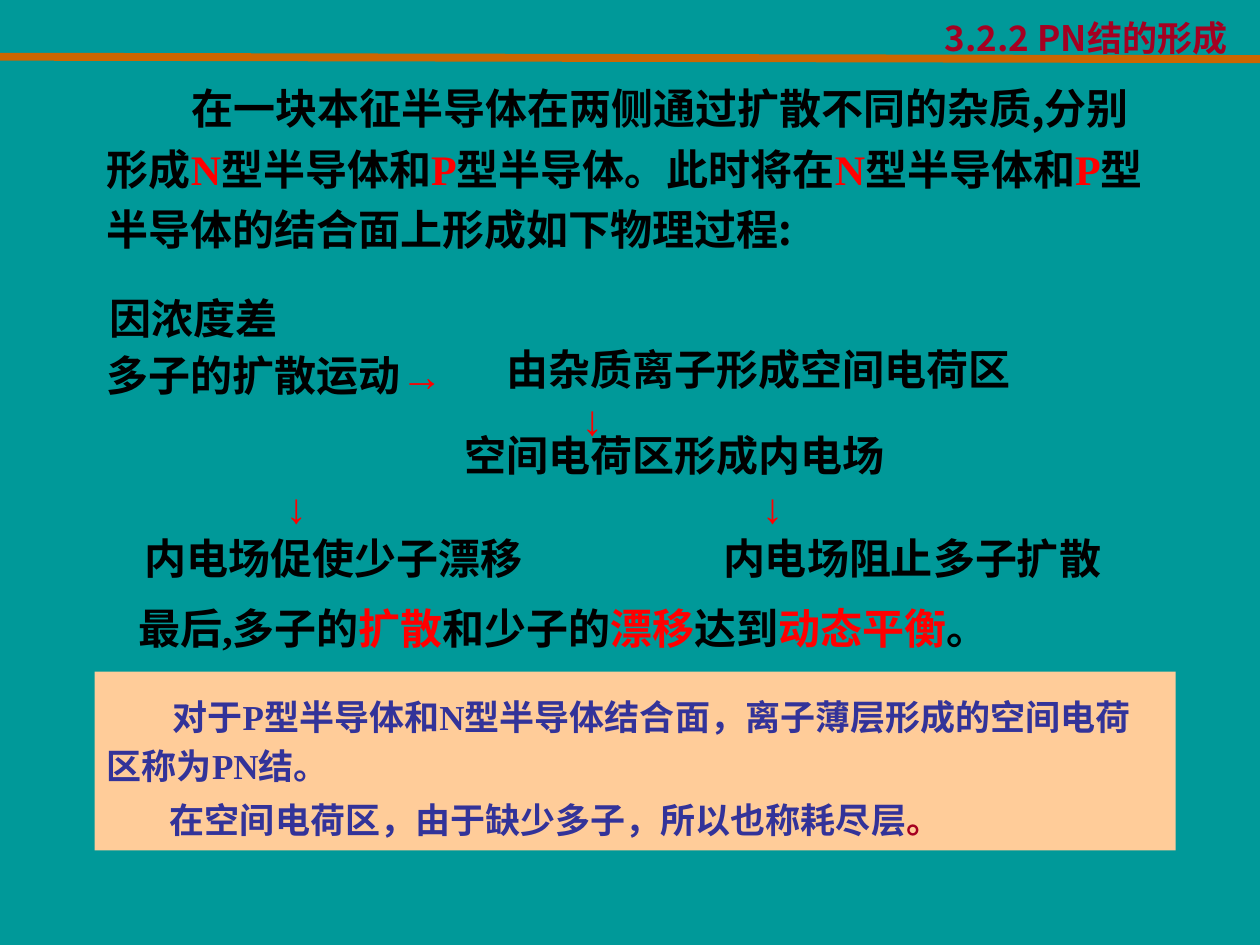
import pptx
import pptx.dml.color
import pptx.enum.shapes
import pptx.enum.text
import pptx.oxml.ns
import pptx.util
import lxml.etree

Inches = pptx.util.Inches
Pt = pptx.util.Pt
Align = pptx.enum.text.PP_ALIGN
Anchor = pptx.enum.text.MSO_ANCHOR

theme = {
    "color": {"teal": "009999", "black": "000000", "red": "FF0000", "crimson": "A50021",
              "indigo": "333399", "peach": "FFCC99", "orange": "CC6600"},
    "font": {"sans": "Noto Sans CJK SC", "serif": "Times New Roman", "arrow": "Arial"},
    "size": {"body": 24, "note": 20},
    "line": 28.8,
}


def color(name):
    return pptx.dml.color.RGBColor.from_string(theme["color"][name])


def write(box, paragraphs, size="body", insets=(0.1, 0.075, 0.1, 0.025), wrap=True, anchor=Anchor.MIDDLE):
    frame = box.text_frame
    left, top, right, bottom = map(Inches, insets)
    settings = {"margin_left": left, "margin_top": top, "margin_right": right, "margin_bottom": bottom,
                "word_wrap": wrap, "vertical_anchor": anchor}
    for name, value in settings.items():
        setattr(frame, name, value)
    for index, (indent, layout, spans) in enumerate(paragraphs):
        para = frame.paragraphs[0] if index == 0 else frame.add_paragraph()
        layout = {"alignment": Align.LEFT, "line_spacing": Pt(theme["line"]), **layout}
        for name, value in layout.items():
            setattr(para, name, value)
        properties = para._p.get_or_add_pPr()
        properties.set("marL", "0")
        properties.set("indent", str(Inches(indent)))
        for text, font, tint in spans:
            span = para.add_run()
            span.text = text
            style = {"name": theme["font"][font], "size": Pt(theme["size"][size]), "bold": True}
            for name, value in style.items():
                setattr(span.font, name, value)
            span.font.color.rgb = color(tint)
            east = lxml.etree.SubElement(span._r.get_or_add_rPr(), pptx.oxml.ns.qn("a:ea"))
            east.set("typeface", theme["font"]["arrow" if font == "arrow" else "sans"])


deck = pptx.Presentation()
deck.slide_width = Inches(10)
deck.slide_height = Inches(7.5)
page = deck.slides.add_slide(deck.slide_layouts[6])
page.background.fill.solid()
page.background.fill.fore_color.rgb = color("teal")

down = ("↓", "arrow", "red")
intro = [
    ("在一块本征半导体在两侧通过扩散不同的杂质,分别形成", "sans", "black"),
    ("N", "serif", "red"), ("型半导体和", "sans", "black"),
    ("P", "serif", "red"), ("型半导体。此时将在", "sans", "black"),
    ("N", "serif", "red"), ("型半导体和", "sans", "black"),
    ("P", "serif", "red"), ("型半导体的结合面上形成如下物理过程:", "sans", "black"),
]
balance = [
    ("最后,多子的", "serif", "black"), ("扩散", "serif", "red"), ("和少子的", "serif", "black"),
    ("漂移", "serif", "red"), ("达到", "serif", "black"), ("动态平衡", "serif", "red"), ("。", "serif", "black"),
]
texts = [
    ((0.75, 0.5, 8.5, 1.54), True, [(0.67, {"line_spacing": Pt(theme["line"] * 1.2)}, intro)]),
    ((0.25, 2.25, 3.11, 0.5), True, [(0.52, {}, [("因浓度差", "sans", "black")])]),
    ((3.59, 3.33, 3.53, 0.5), False, [(0, {}, [("空间电荷区形成内电场", "sans", "black")])]),
    ((0.83, 3.75, 4.67, 0.9), True, [
        (1.34, {}, [down]), (0.22, {}, [("内电场促使少子漂移", "sans", "black")])]),
    ((5.5, 3.75, 4, 0.9), True, [
        (0.45, {}, [down]), (0.14, {}, [("内电场阻止多子扩散", "sans", "black")])]),
    ((1, 4.67, 8.65, 0.54), True, [(0, {"line_spacing": Pt(theme["line"] * 1.1)}, balance)]),
    ((0.75, 2.7, 3.61, 0.5), True, [
        (0, {}, [("多子的扩散运动", "sans", "black"), ("→", "arrow", "red")])]),
    ((3.92, 2.65, 5.22, 0.9), True, [
        (0, {}, [("由杂质离子形成空间电荷区", "sans", "black")]), (0.6, {}, [down])]),
]
for place, wrap, paragraphs in texts:
    write(page.shapes.add_textbox(*map(Inches, place)), paragraphs, wrap=wrap)

note = page.shapes.add_shape(
    pptx.enum.shapes.MSO_SHAPE.RECTANGLE, Inches(0.75), Inches(5.33), Inches(8.58), Inches(1.42))
note.shadow.inherit = False
note.fill.solid()
note.fill.fore_color.rgb = color("peach")
note.line.fill.background()
write(note, [
    (0.52, {"line_spacing": Pt(28), "space_before": Pt(6)}, [
        ("对于P型半导体和N型半导体结合面，离子薄层形成的空间电荷区称为PN结。", "serif", "indigo")]),
    (0.5, {"line_spacing": Pt(28), "space_before": Pt(3)}, [
        ("在空间电荷区，由于缺少多子，所以也称耗尽层", "serif", "indigo"), ("。", "serif", "crimson")]),
], size="note")

title = page.shapes.add_textbox(Inches(4.32), Inches(0.11), Inches(5.42), Inches(0.33))
write(title, [(0, {"alignment": Align.RIGHT, "line_spacing": Pt(24)}, [("3.2.2 PN结的形成", "sans", "crimson")])],
      size="note", insets=(0, 0.02, 0, 0), anchor=Anchor.TOP)

rule = page.shapes.add_connector(
    pptx.enum.shapes.MSO_CONNECTOR.STRAIGHT, Inches(0), Inches(0.45), Inches(10), Inches(0.47))
rule.line.color.rgb = color("orange")
rule.line.width = Pt(4.5)
lxml.etree.SubElement(rule._element.spPr, pptx.oxml.ns.qn("a:effectLst"))

deck.save("out.pptx")
